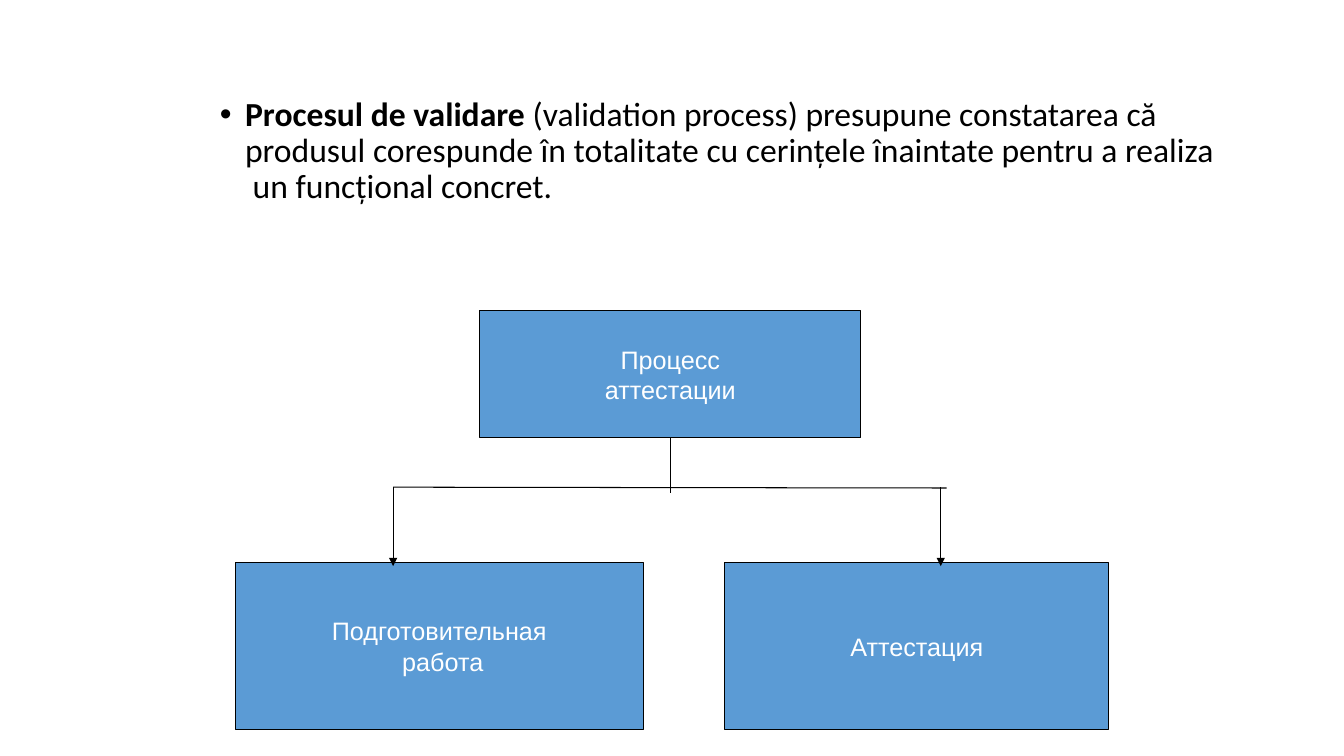
from lxml import etree
from pptx import Presentation
from pptx.dml.color import RGBColor
from pptx.enum.shapes import MSO_CONNECTOR, MSO_SHAPE
from pptx.enum.text import MSO_ANCHOR, PP_ALIGN
from pptx.oxml.ns import qn
from pptx.util import Inches, Pt

RECTANGLE = MSO_SHAPE.RECTANGLE
STRAIGHT = MSO_CONNECTOR.STRAIGHT
CENTER = PP_ALIGN.CENTER
MIDDLE = MSO_ANCHOR.MIDDLE
BOTTOM_SIDE = 2
BLANK_LAYOUT = 6

COLORS = {"box": "5B9BD5", "line": "000000", "text": "000000", "label": "FFFFFF"}


class Diagram:
    """Places elements on a grid of 16 columns by 9 rows."""

    columns, rows = 16, 9
    body_font, label_font = "Calibri", "Arial"
    body_size, label_size = Pt(24), Pt(18)
    line_width = Pt(0.75)

    def __init__(self, deck):
        self.slide = deck.slides.add_slide(deck.slide_layouts[BLANK_LAYOUT])
        self.column = deck.slide_width / self.columns
        self.row = deck.slide_height / self.rows

    def place(self, x, y):
        return round(x * self.column), round(y * self.row)

    def color(self, name):
        return RGBColor.from_string(COLORS[name])

    def style_font(self, font, name, size, color):
        font.name = name
        font.size = size
        font.color.rgb = self.color(color)

    def style_line(self, line):
        line.color.rgb = self.color("line")
        line.width = self.line_width

    def bullet(self, x, y, width, height, term, meaning):
        area = self.slide.shapes.add_textbox(*self.place(x, y), *self.place(width, height))
        area.text_frame.word_wrap = True
        paragraph = area.text_frame.paragraphs[0]
        properties = paragraph._p.get_or_add_pPr()
        indent = Inches(0.25)
        properties.set("marL", str(indent))
        properties.set("indent", str(-indent))
        etree.SubElement(properties, qn("a:buFont")).set("typeface", "Arial")
        etree.SubElement(properties, qn("a:buChar")).set("char", "•")
        paragraph.line_spacing = 0.9
        for text, bold in ((term, True), (meaning, False)):
            run = paragraph.add_run()
            run.text = text
            self.style_font(run.font, self.body_font, self.body_size, "text")
            run.font.bold = bold

    def box(self, x, y, width, height, label):
        box = self.slide.shapes.add_shape(
            RECTANGLE, *self.place(x, y), *self.place(width, height))
        box.shadow.inherit = False
        box.fill.solid()
        box.fill.fore_color.rgb = self.color("box")
        self.style_line(box.line)
        frame = box.text_frame
        frame.text = label
        frame.word_wrap = False
        frame.vertical_anchor = MIDDLE
        for paragraph in frame.paragraphs:
            paragraph.alignment = CENTER
            for run in paragraph.runs:
                self.style_font(run.font, self.label_font, self.label_size, "label")
        return box

    def connector(self, start, end, arrow=False):
        connector = self.slide.shapes.add_connector(
            STRAIGHT, *self.place(*start), *self.place(*end))
        self.style_line(connector.line)
        if arrow:
            line = connector.line._get_or_add_ln()
            etree.SubElement(line, qn("a:tailEnd")).set("type", "triangle")
        etree.SubElement(connector._element.spPr, qn("a:effectLst"))
        return connector


def main():
    deck = Presentation()
    deck.slide_width, deck.slide_height = Inches(13.33), Inches(7.5)
    diagram = Diagram(deck)

    # Process and its two parts
    process = diagram.box(5.71, 3.7, 4.54, 1.51, "Процесс\nаттестации")
    part_top, part_height = 6.7, 1.98
    diagram.box(2.8, part_top, 4.86, part_height, "Подготовительная\n работа")
    diagram.box(8.63, part_top, 4.57, part_height, "Аттестация")

    # Branching lines
    branch_y, preparation_x, attestation_x = 5.8, 4.68, 11.2
    diagram.connector((preparation_x, branch_y), (11.27, 5.81))
    stem = diagram.connector((7.98, 5.21), (7.98, 5.87))
    stem.begin_connect(process, BOTTOM_SIDE)
    stem.end_x = stem.begin_x
    for x in (preparation_x, attestation_x):
        diagram.connector((x, branch_y), (x, 6.74), arrow=True)

    # Definition
    diagram.bullet(
        2.5, 1.1, 12.08, 1.72, "Procesul de validare",
        " (validation process) presupune constatarea că produsul corespunde în "
        "totalitate cu cerințele înaintate pentru a realiza  un funcțional concret.")

    deck.save("out.pptx")


if __name__ == "__main__":
    main()
